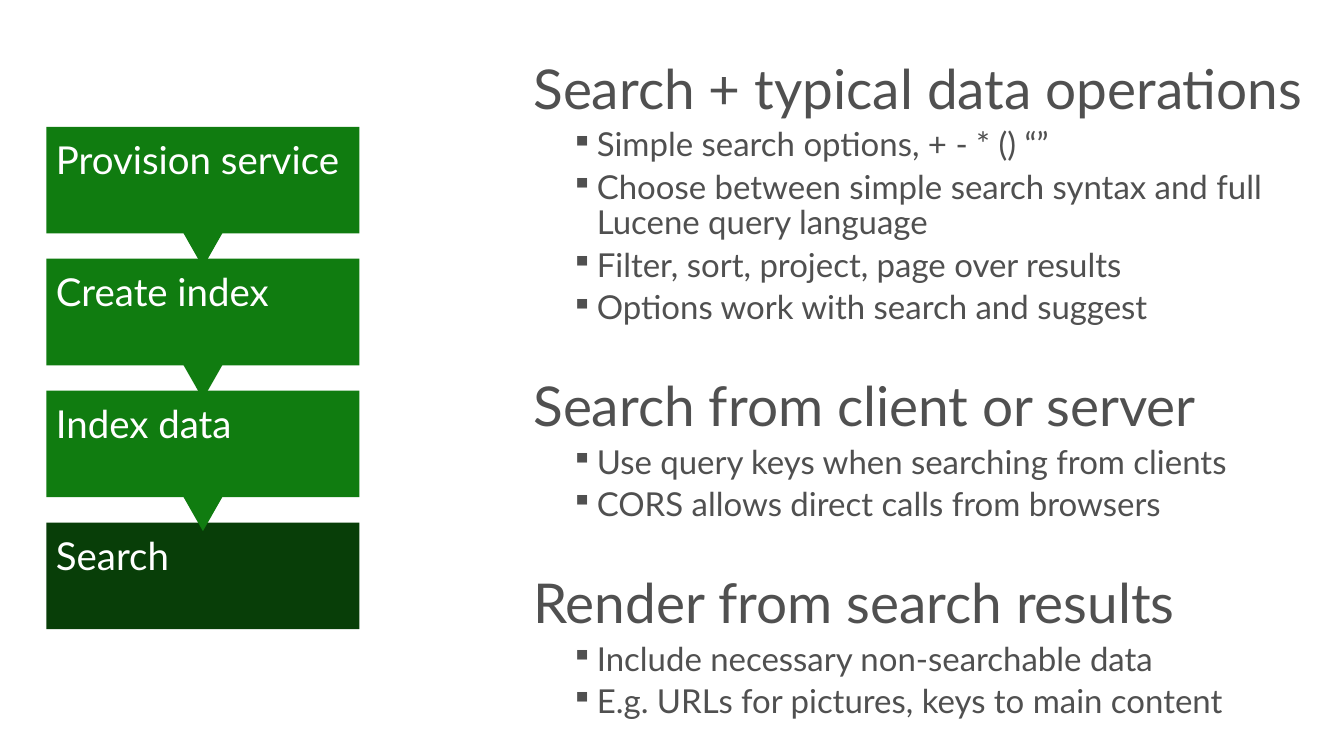
import dataclasses

import lxml.etree
import pptx
import pptx.dml.color
import pptx.enum.shapes
import pptx.enum.text
import pptx.oxml.ns
import pptx.util

Cm, Pt = pptx.util.Cm, pptx.util.Pt
RGBColor = pptx.dml.color.RGBColor
KIND = pptx.enum.shapes.MSO_SHAPE
ANCHOR = pptx.enum.text.MSO_ANCHOR
ALIGN = pptx.enum.text.PP_ALIGN

GREEN = RGBColor(0x10, 0x7C, 0x10)
DARK = RGBColor(0x08, 0x3E, 0x08)
GREY = RGBColor(0x50, 0x50, 0x50)
WHITE = RGBColor(0xFF, 0xFF, 0xFF)
FONT = "Lato"

LEFT, TOP, WIDE, HIGH = 1.19, 3.26, 8.05, 2.74
PITCH = 3.39
TIP_WIDE, TIP_HIGH, TIP_DROP = 1.22, 1.07, 2.54

STEP_FRAME = {
    "word_wrap": True, "vertical_anchor": ANCHOR.TOP,
    "margin_left": Cm(0.25), "margin_top": Cm(0.25),
    "margin_right": Cm(0.1), "margin_bottom": Cm(0.1),
}
LIST_FRAME = {
    "word_wrap": True, "vertical_anchor": ANCHOR.TOP,
    "margin_left": Cm(0.25), "margin_top": Cm(0.13),
    "margin_right": Cm(0.25), "margin_bottom": Cm(0.13),
}


@dataclasses.dataclass
class Step:
    """One stage of the process."""
    name: str
    fill: RGBColor = GREEN


@dataclasses.dataclass
class Topic:
    """A heading with its points."""
    head: str
    points: list[str]


STEPS = [Step("Provision service"), Step("Create index"),
         Step("Index data"), Step("Search", DARK)]

TOPICS = [
    Topic("Search + typical data operations", [
        "Simple search options, + - * () “”",
        "Choose between simple search syntax and full Lucene query language",
        "Filter, sort, project, page over results",
        "Options work with search and suggest",
    ]),
    Topic("Search from client or server", [
        "Use query keys when searching from clients",
        "CORS allows direct calls from browsers",
    ]),
    Topic("Render from search results", [
        "Include necessary non-searchable data",
        "E.g. URLs for pictures, keys to main content",
    ]),
]


def apply(target: object, values: dict) -> None:
    """Set each named value on the target."""
    for name, value in values.items():
        setattr(target, name, value)


def write(para, text: str, size: float, tint: RGBColor, **form) -> None:
    """Fill a paragraph with one styled run."""
    apply(para, {"alignment": ALIGN.LEFT, **form})
    run = para.add_run()
    run.text = text
    apply(run.font, {"name": FONT, "size": Pt(size)})
    run.font.color.rgb = tint


def bullet(para) -> None:
    """Give a paragraph a square bullet and a hanging indent."""
    props = para._p.get_or_add_pPr()
    for name, value in {"marL": Cm(1.63), "indent": Cm(-0.66)}.items():
        props.set(name, str(int(value)))
    for tag, name, value in (("a:buSzPct", "val", "90000"),
                             ("a:buChar", "char", "▪")):
        node = lxml.etree.SubElement(props, pptx.oxml.ns.qn(tag))
        node.set(name, value)


def block(slide, kind, left: float, top: float, wide: float, high: float,
          fill: RGBColor):
    """Add a flat shape without outline, measured in centimetres."""
    shape = slide.shapes.add_shape(kind, Cm(left), Cm(top), Cm(wide), Cm(high))
    shape.shadow.inherit = False
    shape.fill.solid()
    shape.fill.fore_color.rgb = fill
    shape.line.fill.background()
    return shape


def draw_steps(slide) -> None:
    """Stack the steps, then join them with pointers."""
    tops = [TOP + PITCH * row for row in range(len(STEPS))]
    for step, top in zip(STEPS, tops):
        box = block(slide, KIND.RECTANGLE, LEFT, top, WIDE, HIGH, step.fill)
        apply(box.text_frame, STEP_FRAME)
        write(box.text_frame.paragraphs[0], step.name, 28, WHITE)
    for top in tops[:-1]:
        tip = block(slide, KIND.ISOSCELES_TRIANGLE,
                    LEFT + (WIDE - TIP_WIDE) / 2, top + TIP_DROP,
                    TIP_WIDE, TIP_HIGH, GREEN)
        tip.rotation = 180


def draw_topics(slide) -> None:
    """Write every topic into one text box."""
    box = slide.shapes.add_textbox(Cm(13.46), Cm(1.47), Cm(20.32), Cm(16.51))
    frame = box.text_frame
    apply(frame, LIST_FRAME)
    for rank, topic in enumerate(TOPICS):
        para = frame.add_paragraph() if rank else frame.paragraphs[0]
        write(para, topic.head, 40, GREY, line_spacing=0.9,
              space_before=Pt(38.5 if rank else 0))
        for point in topic.points:
            para = frame.add_paragraph()
            write(para, point, 24, GREY, level=1, line_spacing=0.9,
                  space_before=Pt(5))
            bullet(para)


def main() -> None:
    """Build and save the slide."""
    deck = pptx.Presentation()
    apply(deck, {"slide_width": Cm(34.54), "slide_height": Cm(19.43)})
    slide = deck.slides.add_slide(deck.slide_layouts[6])
    draw_steps(slide)
    draw_topics(slide)
    deck.save("out.pptx")


main()
